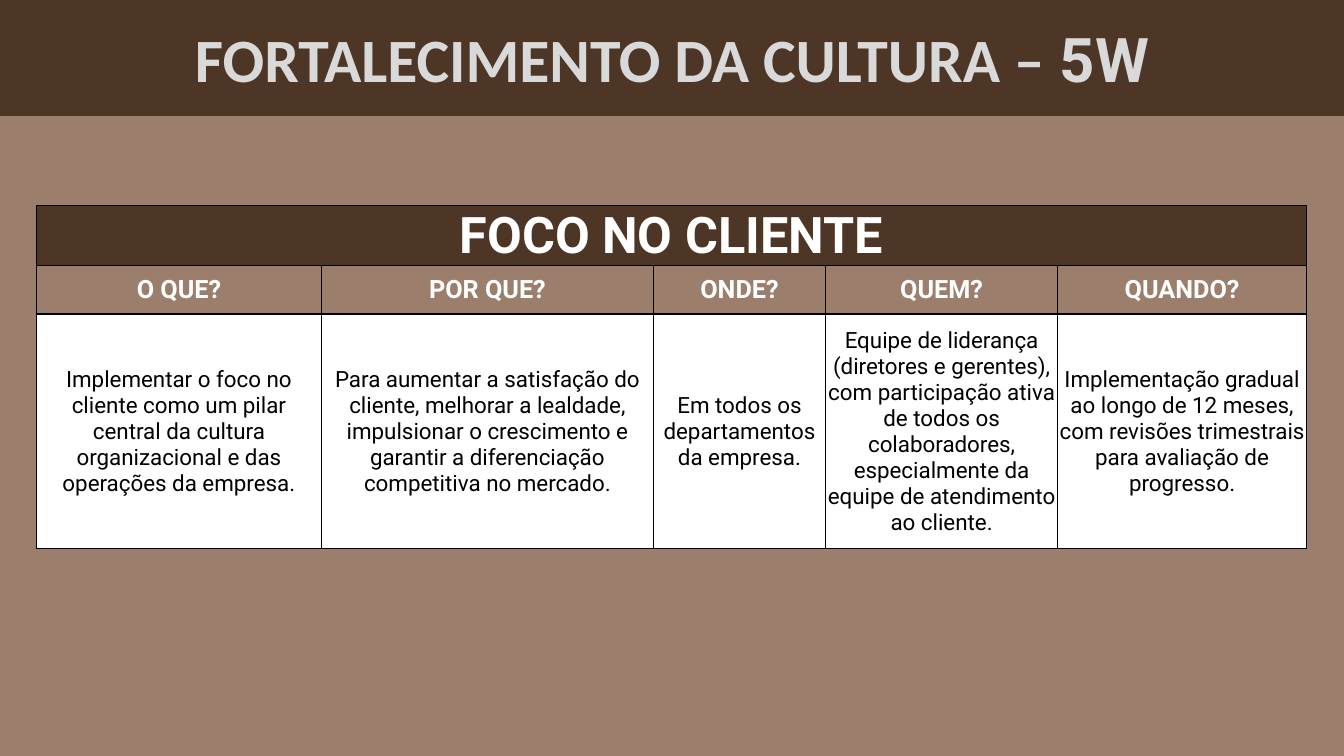
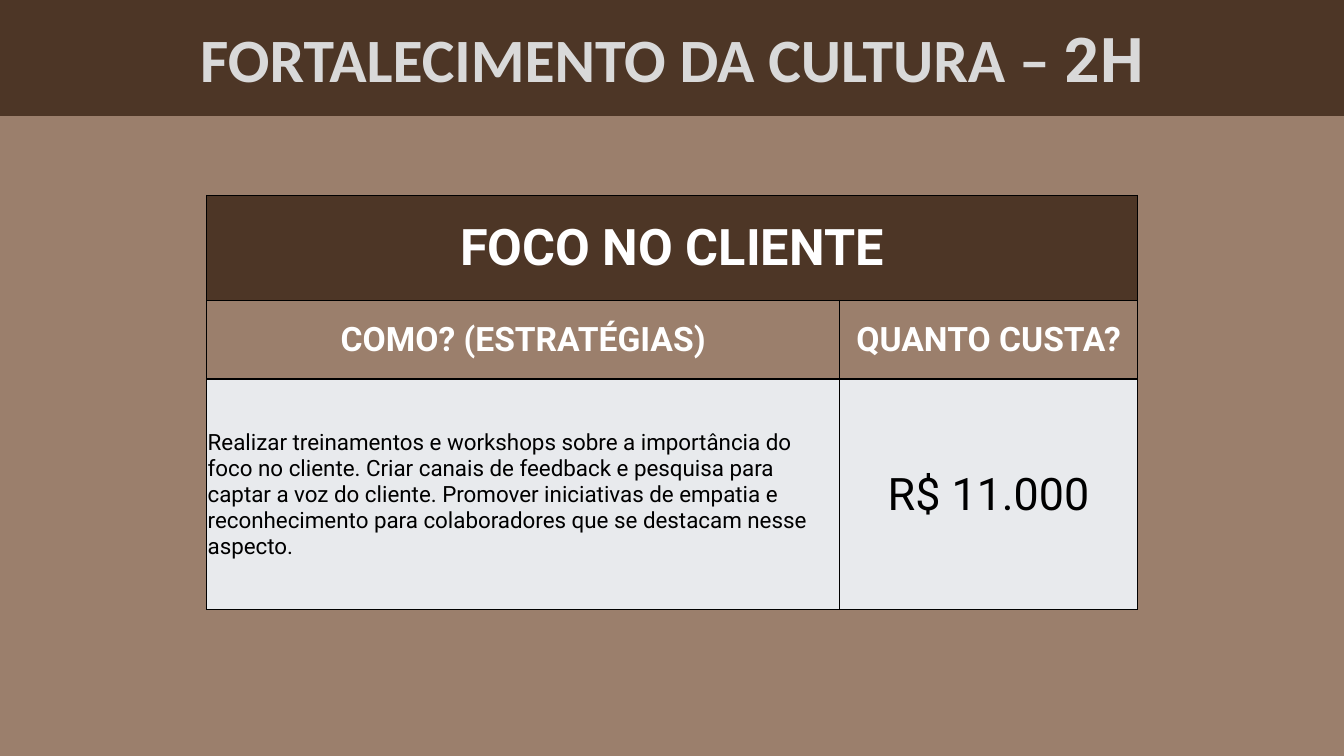
"""Build the two culture-strengthening slides (5W and 2H)."""
from lxml import etree
from pptx import Presentation
from pptx.dml.color import RGBColor
from pptx.enum.text import MSO_ANCHOR, MSO_AUTO_SIZE, PP_ALIGN
from pptx.oxml.ns import qn
from pptx.util import Inches, Pt

MIDDLE = MSO_ANCHOR.MIDDLE
NO_AUTOFIT = MSO_AUTO_SIZE.NONE
CENTER = PP_ALIGN.CENTER
LEFT = PP_ALIGN.LEFT

DARK_BROWN = RGBColor(0x4D, 0x36, 0x26)
LIGHT_BROWN = RGBColor(0x9B, 0x7F, 0x6C)
TITLE_GRAY = RGBColor(0xD9, 0xD9, 0xD9)
PALE_GRAY = RGBColor(0xE8, 0xEA, 0xED)
WHITE = RGBColor(0xFF, 0xFF, 0xFF)
BLACK = RGBColor(0x00, 0x00, 0x00)

TITLE_FONT = "Calibri"
BODY_FONT = "Roboto"
SLIDE_WIDTH = Inches(13.33)
SLIDE_HEIGHT = Inches(7.5)
BAND_HEIGHT = Inches(1.15)
TITLE_ONLY_LAYOUT = 5


def add_run(paragraph, text, size, color, bold=False, font_name=BODY_FONT):
    """Append one formatted run to a paragraph."""
    run = paragraph.add_run()
    run.text = text
    run.font.name = font_name
    run.font.size = Pt(size)
    run.font.bold = bold
    run.font.color.rgb = color


def fill_solid(fill, color):
    """Give a fill one solid colour."""
    fill.solid()
    fill.fore_color.rgb = color


def add_titled_slide(presentation, method):
    """Add a slide whose title band names the planning method."""
    slide = presentation.slides.add_slide(presentation.slide_layouts[TITLE_ONLY_LAYOUT])
    title = slide.shapes.title
    title.left, title.top = 0, 0
    title.width, title.height = SLIDE_WIDTH, BAND_HEIGHT
    fill_solid(title.fill, DARK_BROWN)
    frame = title.text_frame
    frame.auto_size = NO_AUTOFIT
    frame.vertical_anchor = MIDDLE
    paragraph = frame.paragraphs[0]
    paragraph.alignment = CENTER
    add_run(paragraph, "FORTALECIMENTO DA CULTURA – ", 44, TITLE_GRAY, True, TITLE_FONT)
    add_run(paragraph, method, 44, TITLE_GRAY, True)
    return slide


def add_borders(cell):
    """Draw a thin black line on every side of a cell."""
    properties = cell._tc.get_or_add_tcPr()
    for side in ("a:lnL", "a:lnR", "a:lnT", "a:lnB"):
        line = etree.SubElement(properties, qn(side), w=str(Pt(1)))
        solid = etree.SubElement(line, qn("a:solidFill"))
        etree.SubElement(solid, qn("a:srgbClr"), val=str(BLACK))


def format_cell(cell, fill_color):
    """Set the borders, fill, margins and anchor of a cell."""
    add_borders(cell)
    fill_solid(cell.fill, fill_color)
    cell.margin_left = cell.margin_right = cell.margin_top = Inches(0.01)
    cell.margin_bottom = 0
    cell.vertical_anchor = MIDDLE


def write_cell(cell, text, size, color, bold=False, alignment=CENTER):
    """Write one paragraph of text in a cell."""
    paragraph = cell.text_frame.paragraphs[0]
    paragraph.alignment = alignment
    add_run(paragraph, text, size, color, bold)


def add_plan_table(slide, left, top, widths, heights, headers, header_size, answer_fill, answers):
    """Add a heading row, a row of questions and a row of answers."""
    table = slide.shapes.add_table(
        len(heights), len(widths), Inches(left), Inches(top),
        Inches(sum(widths)), Inches(sum(heights))).table
    table.first_row = table.horz_banding = False
    for column, width in zip(table.columns, widths):
        column.width = Inches(width)
    for row, height, fill_color in zip(
            table.rows, heights, (DARK_BROWN, LIGHT_BROWN, answer_fill)):
        row.height = Inches(height)
        for cell in row.cells:
            format_cell(cell, fill_color)
    heading = table.cell(0, 0)
    heading.merge(table.cell(0, len(widths) - 1))
    write_cell(heading, "FOCO NO CLIENTE", 36, WHITE, True)
    for index, (header, (answer, size, alignment)) in enumerate(zip(headers, answers)):
        write_cell(table.cell(1, index), header, header_size, WHITE, True)
        write_cell(table.cell(2, index), answer, size, BLACK, alignment=alignment)


def add_5w_slide(presentation):
    """Add the slide with the five W questions."""
    answers = (
        "Implementar o foco no cliente como um pilar central da cultura "
        "organizacional e das operações da empresa.",
        "Para aumentar a satisfação do cliente, melhorar a lealdade, impulsionar "
        "o crescimento e garantir a diferenciação competitiva no mercado.",
        "Em todos os departamentos da empresa.",
        "Equipe de liderança (diretores e gerentes), com participação ativa de todos "
        "os colaboradores, especialmente da equipe de atendimento ao cliente.",
        "Implementação gradual ao longo de 12 meses, com revisões trimestrais "
        "para avaliação de progresso.",
    )
    add_plan_table(
        add_titled_slide(presentation, "5W"), 0.36, 2.04,
        (2.83, 3.29, 1.71, 2.3, 2.47), (0.59, 0.48, 2.33),
        ("O QUE?", "POR QUE?", "ONDE?", "QUEM?", "QUANDO?"), 18, WHITE,
        [(answer, 16, CENTER) for answer in answers])


def add_2h_slide(presentation):
    """Add the slide with the two H questions."""
    strategies = (
        "Realizar treinamentos e workshops sobre a importância do foco no cliente. "
        "Criar canais de feedback e pesquisa para captar a voz do cliente. Promover "
        "iniciativas de empatia e reconhecimento para colaboradores que se destacam "
        "nesse aspecto.")
    add_plan_table(
        add_titled_slide(presentation, "2H"), 2.05, 1.94,
        (6.28, 2.95), (1.04, 0.78, 2.29),
        ("COMO? (ESTRATÉGIAS)", "QUANTO CUSTA?"), 24, PALE_GRAY,
        [(strategies, 16, LEFT), ("R$ 11.000", 32, CENTER)])


def main():
    """Build and save the presentation."""
    presentation = Presentation()
    presentation.slide_width = SLIDE_WIDTH
    presentation.slide_height = SLIDE_HEIGHT
    fill_solid(presentation.slide_master.background.fill, LIGHT_BROWN)
    add_5w_slide(presentation)
    add_2h_slide(presentation)
    presentation.save("out.pptx")


if __name__ == "__main__":
    main()
